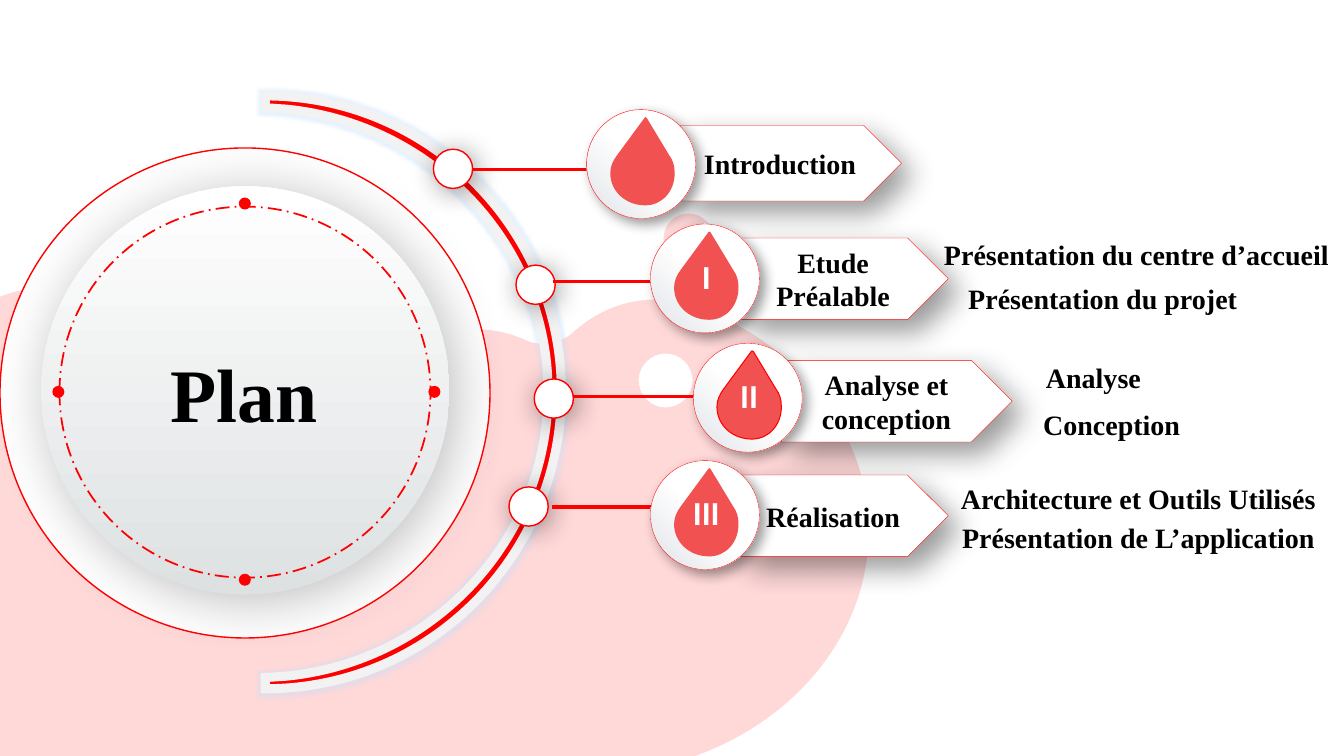
"""Build the plan slide: a large dial on the left and four labelled steps on an arc."""
from lxml import etree
from pptx import Presentation
from pptx.dml.color import RGBColor
from pptx.enum.dml import MSO_LINE
from pptx.enum.shapes import MSO_CONNECTOR, MSO_SHAPE
from pptx.enum.text import MSO_ANCHOR, PP_ALIGN
from pptx.oxml import parse_xml
from pptx.oxml.ns import nsdecls, qn
from pptx.util import Pt

OVAL, PLATE = MSO_SHAPE.OVAL, MSO_SHAPE.PENTAGON
LINE = MSO_CONNECTOR.STRAIGHT
LEFT, MID = PP_ALIGN.LEFT, PP_ALIGN.CENTER
CENTER = MSO_ANCHOR.MIDDLE
DASH = MSO_LINE.LONG_DASH_DOT

RED, WHITE, BLACK = "FF0000", "FFFFFF", "000000"
PINK, CORAL, PALE = "FFD8D8", "F25151", "F2F2F2"
SERIF, SANS = "Times New Roman", "Calibri"

CLOUD = [
    (468, 214), (447, 214, 427, 222, 411, 236), (405, 242, 397, 245.5, 388, 245.5),
    (383, 245.5, 379, 245, 374.5, 242.5), (362, 237, 349, 235, 337, 235),
    (318, 235, 301, 240.5, 286, 252), (271, 264, 258, 279, 247, 295),
    (229, 324, 203, 346, 172, 358.5), (169, 360, 167, 361, 165, 362),
    (146, 371, 134, 391, 136, 412), (137, 413, 137, 415.5, 136, 417.5),
    (135, 426, 128, 433.5, 119.5, 434), (119, 434), (101.5, 437, 88.5, 451, 88, 468),
    (88, 469), (88, 537, 157, 592.5, 242, 592.5), (273, 592.5, 302, 585.5, 325.5, 573),
    (350, 559.5, 377, 552, 404.5, 552), (407, 552, 409, 553, 411, 553), (421, 553),
    (530.5, 553, 620.5, 475, 620.5, 379.5), (620.5, 307.5, 570, 245.5, 498, 219.5),
    (488, 216, 478, 214, 468, 214),
]
HILL = [
    (38, 205), (55.5, 205, 73.5, 209, 89, 216), (122, 230, 148, 259, 168, 287),
    (186, 314, 199, 346, 226, 363), (245.5, 375, 269, 378, 291.5, 381.5),
    (319, 386.5, 346.5, 391.5, 372, 402.5), (397.5, 412.5, 422, 430, 438, 453),
    (456.5, 480, 462, 514, 463, 547), (3.5, 547), (-1.5, 547, -6, 543, -6, 537),
    (-6, 214.5), (8, 208, 23, 205, 38, 205),
]
ARC = [
    (189.5, 68.5), (306.5, 68.5, 401, 163.5, 401, 280), (401, 397.5, 306.5, 492, 189.5, 492),
    (189.5, 484), (204.5, 483), (309.5, 472.5, 391.5, 386, 391.5, 280),
    (391.5, 175, 309.5, 88.5, 204.5, 78), (189.5, 77),
]
DROP = [
    (25, 0), (25, 0, 24.5, 0, 24.5, 0.5), (5, 27), (2, 31, 0, 35, 0, 40),
    (0, 53, 11, 63, 25, 63), (37, 63, 46, 53, 46, 40), (46, 35, 45, 31, 42, 27),
    (26, 0.5), (26, 0.5, 25.5, 0, 25, 0),
]
HOLE = (475.5, 271.8, 19.3)
SPOTS = [(491.8, 170.3, 17.8), (62, 257, 30.2), (106.6, 270, 10.9)]
BEADS = [(124.6, 199.8, 5.6), (81, 159.5, 3.4)]
STEPS = [
    dict(node=(309.6, 106.6), wire=(337, 447, 121), plate=(484, 89.6, 160, 54),
         ball=(419, 78.3), text="Introduction", num="", edge=None),
    dict(node=(368.6, 189.4), wire=(395, 484, 200.8), plate=(527.4, 170, 150, 58.3),
         ball=(464.6, 160), text="Etude Préalable", num="I", edge=None),
    dict(node=(381.6, 270.7), wire=(409, 512, 283), plate=(558, 257.4, 165, 58.3),
         ball=(495.2, 245.2), text="Analyse et conception", num="II", edge=RED),
    dict(node=(363.6, 347.8), wire=(394.6, 482.4, 362.2), plate=(527.4, 339.3, 150, 58.3),
         ball=(464.6, 329), text="Réalisation", num="III", edge=None),
]
NOTES = [
    ("Présentation du centre d’accueil", 667.2, 166.3, 480, LEFT, True),
    ("Présentation du projet", 547.7, 197.5, 480, MID, True),
    ("Analyse", 740, 254.2, 83, LEFT, False),
    ("Conception", 738, 287.5, 113, LEFT, False),
    ("Architecture et Outils Utilisés", 573.2, 340.5, 480, MID, True),
    ("Présentation de L’application", 573.2, 368.4, 480, MID, True),
]
DOTS = [(170.6, 141.1), (170.6, 409.8), (306, 275.6), (37.4, 275.6)]

deck = Presentation()
deck.slide_width, deck.slide_height = Pt(960), Pt(540)
slide = deck.slides.add_slide(deck.slide_layouts[6])
shapes = slide.shapes


def tint(code):
    return RGBColor.from_string(code)


def paint(shape, fill=None, edge=None, width=1):
    shape.shadow.inherit = False
    if fill:
        shape.fill.solid()
        shape.fill.fore_color.rgb = tint(fill)
    else:
        shape.fill.background()
    if edge:
        shape.line.color.rgb = tint(edge)
        shape.line.width = Pt(width)
    else:
        shape.line.fill.background()
    return shape


def add(kind, x, y, w, h, *look):
    return paint(shapes.add_shape(kind, Pt(x), Pt(y), Pt(w), Pt(h)), *look)


def round_off(x, y, r):
    k = r * 0.55
    return [(x, y - r), (x - k, y - r, x - r, y - k, x - r, y),
            (x - r, y + k, x - k, y + r, x, y + r),
            (x + k, y + r, x + r, y + k, x + r, y),
            (x + r, y - k, x + k, y - r, x, y - r)]


def trace(*loops, dx=0, dy=0):
    ends = [[(Pt(s[-2] + dx), Pt(s[-1] + dy)) for s in loop] for loop in loops]
    form = shapes.build_freeform(*ends[0][0], scale=1.0)
    for i, pts in enumerate(ends):
        if i:
            form.move_to(*pts[0])
        form.add_line_segments(pts[1:], close=True)
    shape = form.convert_to_shape()
    lines = list(shape._element.iter(qn("a:lnTo")))
    steps = [s for loop in loops for s in loop[1:]]
    for old, step in zip(lines, steps):
        if len(step) == 6:
            curve = etree.Element(qn("a:cubicBezTo"))
            for x, y in zip(step[::2], step[1::2]):
                etree.SubElement(curve, qn("a:pt"), x=str(Pt(x + dx) - shape.left),
                                 y=str(Pt(y + dy) - shape.top))
            old.getparent().replace(old, curve)
    return shape


def effect(shape, tag, code, alpha, **sizes):
    box = shape._element.spPr.find(qn("a:effectLst"))
    item = etree.SubElement(box, qn(tag), {k: str(v) for k, v in sizes.items()})
    item.append(parse_xml(f'<a:srgbClr {nsdecls("a")} val="{code}">'
                          f'<a:alpha val="{alpha * 1000}"/></a:srgbClr>'))


def cast(shape, code, alpha, blur, dist):
    effect(shape, "a:outerShdw", code, alpha, blurRad=Pt(blur), dist=Pt(dist),
           dir=2700000, algn="tl", rotWithShape=0)


def blend(shape, first, last, start=0):
    shape.fill.gradient()
    for stop, code, pos in zip(shape.fill.gradient_stops, (first, last), (start, 1)):
        stop.color.rgb = tint(code)
        stop.position = pos


def write(shape, text, size, font, code, align=MID):
    frame = shape.text_frame
    frame.text = text
    para = frame.paragraphs[0]
    para.alignment = align
    face = para.runs[0].font
    face.size, face.name, face.bold = Pt(size), font, True
    face.color.rgb = tint(code)
    return frame


def label(text, x, y, w, h, size, align, wrap):
    box = shapes.add_textbox(Pt(x), Pt(y), Pt(w), Pt(h))
    write(box, text, size, SERIF, BLACK, align).word_wrap = wrap


def dial():
    disc = add(OVAL, 29.4, 133.1, 291.6, 291.6)
    blend(disc, "DDE1E2", WHITE)
    disc.fill.gradient_angle = 90
    cast(disc, "595959", 40, 40, 6)
    label("Plan", 72, 244, 205, 73, 54, MID, True)
    ring = add(OVAL, 42.5, 147.6, 265, 265, None, RED, 1.25)
    ring.line.dash_style = DASH
    for x, y in DOTS:
        add(OVAL, x, y, 8.6, 8.6, RED)


def badge(x, y, num, edge):
    ball = add(OVAL, x, y, 77.8, 77.8, WHITE, RED, 0.25)
    blend(ball, WHITE, "E0E3E8", 0.5)
    grad = ball._element.spPr.find(qn("a:gradFill"))
    grad.remove(grad.find(qn("a:lin")))
    way = etree.SubElement(grad, qn("a:path"), path="circle")
    etree.SubElement(way, qn("a:fillToRect"), l="100000", b="100000")
    cast(ball, BLACK, 40, 9, 5)
    drop = paint(trace(DROP, dx=x + 16.9, dy=y + 5.4), CORAL, edge, 0.75)
    if num:
        frame = write(drop, num, 24, SANS, WHITE)
        frame.vertical_anchor = CENTER
        frame.margin_top = frame.margin_bottom = Pt(7.2)


paint(trace(CLOUD, round_off(*HOLE)), PINK)
for spot in SPOTS:
    paint(trace(round_off(*spot)), PINK)
paint(trace(HILL), PINK)
for bead in BEADS:
    paint(trace(round_off(*bead)), PINK).rotation = 180
add(OVAL, 0, 105.7, 350, 350, WHITE, RED, 1)
arc = paint(trace(ARC), RED, PALE, 6.5)
etree.SubElement(arc.line._get_or_add_ln(), qn("a:miter"), lim="800000")
effect(arc, "a:glow", "C5E0FA", 40, rad=Pt(5))
for step in STEPS:
    cast(add(OVAL, *step["node"], 28, 28, WHITE, RED, 1), BLACK, 40, 20, 3)
for step in STEPS:
    x, end, y = step["wire"]
    wire = shapes.add_connector(LINE, Pt(x), Pt(y), Pt(end), Pt(y))
    wire.line.color.rgb = tint(RED)
    wire.line.width = Pt(2.25)
    etree.SubElement(wire._element.spPr, qn("a:effectLst"))
dial()
for step in STEPS:
    plate = add(PLATE, *step["plate"], WHITE, RED, 0.25)
    cast(plate, BLACK, 40, 21, 12)
    write(plate, step["text"], 20, SERIF, BLACK).vertical_anchor = CENTER
    badge(*step["ball"], step["num"], step["edge"])
for text, x, y, w, align, wrap in NOTES:
    label(text, x, y, w, 31.5, 20, align, wrap)
deck.save("out.pptx")
